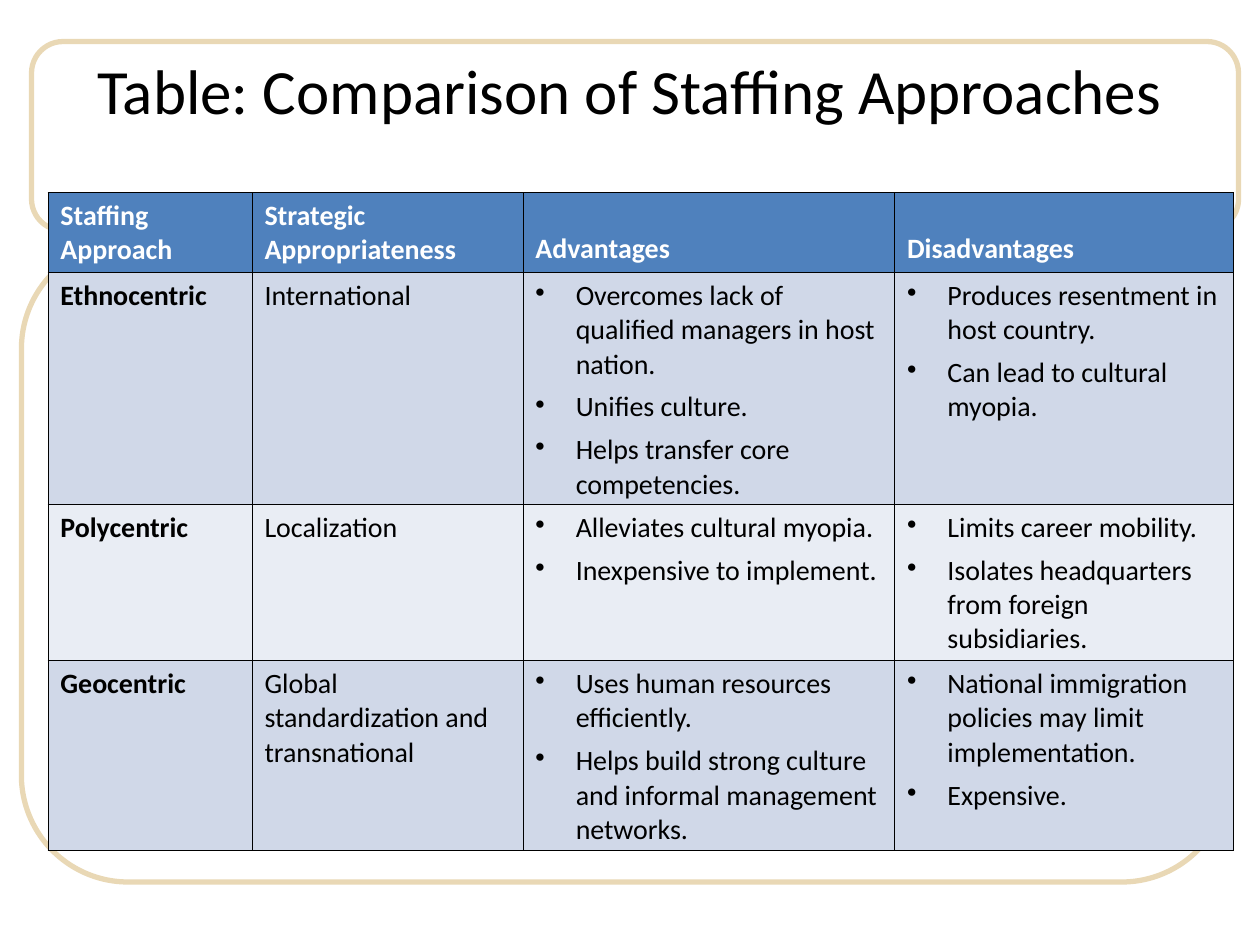
"""Builds a slide with a table comparing three international staffing approaches."""
from dataclasses import dataclass

from lxml import etree
from pptx import Presentation
from pptx.dml.color import RGBColor
from pptx.enum.shapes import MSO_SHAPE
from pptx.enum.text import MSO_ANCHOR, PP_ALIGN
from pptx.oxml.ns import qn
from pptx.util import Inches, Pt

ROUNDED = MSO_SHAPE.ROUNDED_RECTANGLE
TOP, MIDDLE, BOTTOM = MSO_ANCHOR.TOP, MSO_ANCHOR.MIDDLE, MSO_ANCHOR.BOTTOM
CENTER = PP_ALIGN.CENTER

SLIDE_WIDTH, SLIDE_HEIGHT = Inches(10), Inches(7.5)
GRID_COLUMNS, GRID_ROWS = 100, 75
BLANK_LAYOUT = 6


@dataclass(frozen=True)
class Theme:
    """Colours and type sizes of the slide."""
    font: str = "Calibri"
    title_size: float = 36
    table_size: float = 16
    bullet_gap: float = 5
    frame_width: float = 3
    border_width: float = 0.45
    ink: str = "000000"
    paper: str = "FFFFFF"
    frame: str = "E9D8B5"
    header: str = "4F81BD"
    bands: tuple = ("D0D8E8", "E9EDF4")


THEME = Theme()
TITLE = "Table: Comparison of Staffing Approaches"
FRAMES = [(2.5, 3.3, 95.8, 15), (1.7, 19.2, 95.8, 50.8)]
TITLE_AREA = (3.7, 1.6, 92.5, 10.9)
TABLE_ORIGIN = (3.8, 15.3)
COLUMN_SPANS = (16.2, 21.5, 29.5, 26.9)
ROW_SPANS = (6.3, 18.4, 12.4, 15)
BULLET_INDENT = 3.2

HEADINGS = ["Staffing Approach", "Strategic Appropriateness", "Advantages", "Disadvantages"]
APPROACHES = [
    ("Ethnocentric", "International",
     ["Overcomes lack of qualified managers in host nation.",
      "Unifies culture.",
      "Helps transfer core competencies."],
     ["Produces resentment in host country.",
      "Can lead to cultural myopia."]),
    ("Polycentric", "Localization",
     ["Alleviates cultural myopia.",
      "Inexpensive to implement."],
     ["Limits career mobility.",
      "Isolates headquarters from foreign subsidiaries."]),
    ("Geocentric", "Global standardization and transnational",
     ["Uses human resources efficiently.",
      "Helps build strong culture and informal management networks."],
     ["National immigration policies may limit implementation.",
      "Expensive."]),
]


def across(columns):
    """Return the length of a number of grid columns."""
    return round(SLIDE_WIDTH * columns / GRID_COLUMNS)


def down(rows):
    """Return the length of a number of grid rows."""
    return round(SLIDE_HEIGHT * rows / GRID_ROWS)


def place(left, top, width, height):
    """Turn a grid area into slide lengths."""
    return across(left), down(top), across(width), down(height)


def paint(fill, color):
    """Give a fill one solid colour."""
    fill.solid()
    fill.fore_color.rgb = RGBColor.from_string(color)


def add_run(paragraph, text, size, color, bold=False):
    """Add one run in the slide's font."""
    run = paragraph.add_run()
    run.text = text
    run.font.name = THEME.font
    run.font.size = Pt(size)
    run.font.bold = bold
    run.font.color.rgb = RGBColor.from_string(color)


def add_frame(slide, area):
    """Add a rounded background frame."""
    frame = slide.shapes.add_shape(ROUNDED, *place(*area))
    frame.shadow.inherit = False
    paint(frame.fill, THEME.paper)
    paint(frame.line.fill, THEME.frame)
    frame.line.width = Pt(THEME.frame_width)


def add_title(slide):
    """Add the centred slide title."""
    title = slide.shapes.add_textbox(*place(*TITLE_AREA)).text_frame
    title.word_wrap = True
    title.vertical_anchor = MIDDLE
    heading = title.paragraphs[0]
    heading.alignment = CENTER
    add_run(heading, TITLE, THEME.title_size, THEME.ink)


def set_bullet(paragraph):
    """Give a paragraph a round bullet with a hanging indent."""
    properties = paragraph._p.get_or_add_pPr()
    properties.set("marL", str(across(BULLET_INDENT)))
    properties.set("indent", str(-across(BULLET_INDENT)))
    bullet_color = etree.SubElement(properties, qn("a:buClr"))
    etree.SubElement(bullet_color, qn("a:srgbClr"), val=THEME.ink)
    etree.SubElement(properties, qn("a:buChar"), char="•")


def set_borders(cell):
    """Draw a thin line on all four sides of a cell."""
    properties = cell._tc.get_or_add_tcPr()
    for side in ("a:lnL", "a:lnR", "a:lnT", "a:lnB"):
        border = etree.SubElement(properties, qn(side), w=str(Pt(THEME.border_width)))
        border_fill = etree.SubElement(border, qn("a:solidFill"))
        etree.SubElement(border_fill, qn("a:srgbClr"), val=THEME.ink)


def fill_cell(cell, content, background, color=THEME.ink, bold=False, anchor=TOP):
    """Style a cell and write its text, bulleted when it is a list."""
    set_borders(cell)
    paint(cell.fill, background)
    cell.vertical_anchor = anchor
    bulleted = isinstance(content, list)
    for index, text in enumerate(content if bulleted else [content]):
        paragraph = cell.text_frame.add_paragraph() if index else cell.text_frame.paragraphs[0]
        if bulleted:
            set_bullet(paragraph)
        if index:
            paragraph.space_before = Pt(THEME.bullet_gap)
        add_run(paragraph, text, THEME.table_size, color, bold)


def add_comparison(slide):
    """Add the table of approaches with its header row."""
    area = place(*TABLE_ORIGIN, sum(COLUMN_SPANS), sum(ROW_SPANS))
    table = slide.shapes.add_table(len(ROW_SPANS), len(COLUMN_SPANS), *area).table
    table.horz_banding = False
    for column, span in zip(table.columns, COLUMN_SPANS):
        column.width = across(span)
    for row, span in zip(table.rows, ROW_SPANS):
        row.height = down(span)
    for column, heading in enumerate(HEADINGS):
        fill_cell(table.cell(0, column), heading, THEME.header, THEME.paper, True, BOTTOM)
    for row, approach in enumerate(APPROACHES, start=1):
        band = THEME.bands[(row - 1) % len(THEME.bands)]
        for column, content in enumerate(approach):
            fill_cell(table.cell(row, column), content, band, bold=column == 0)


def main():
    """Build and save the slide."""
    presentation = Presentation()
    presentation.slide_width, presentation.slide_height = SLIDE_WIDTH, SLIDE_HEIGHT
    slide = presentation.slides.add_slide(presentation.slide_layouts[BLANK_LAYOUT])
    for area in FRAMES:
        add_frame(slide, area)
    add_title(slide)
    add_comparison(slide)
    presentation.save("out.pptx")


if __name__ == "__main__":
    main()
